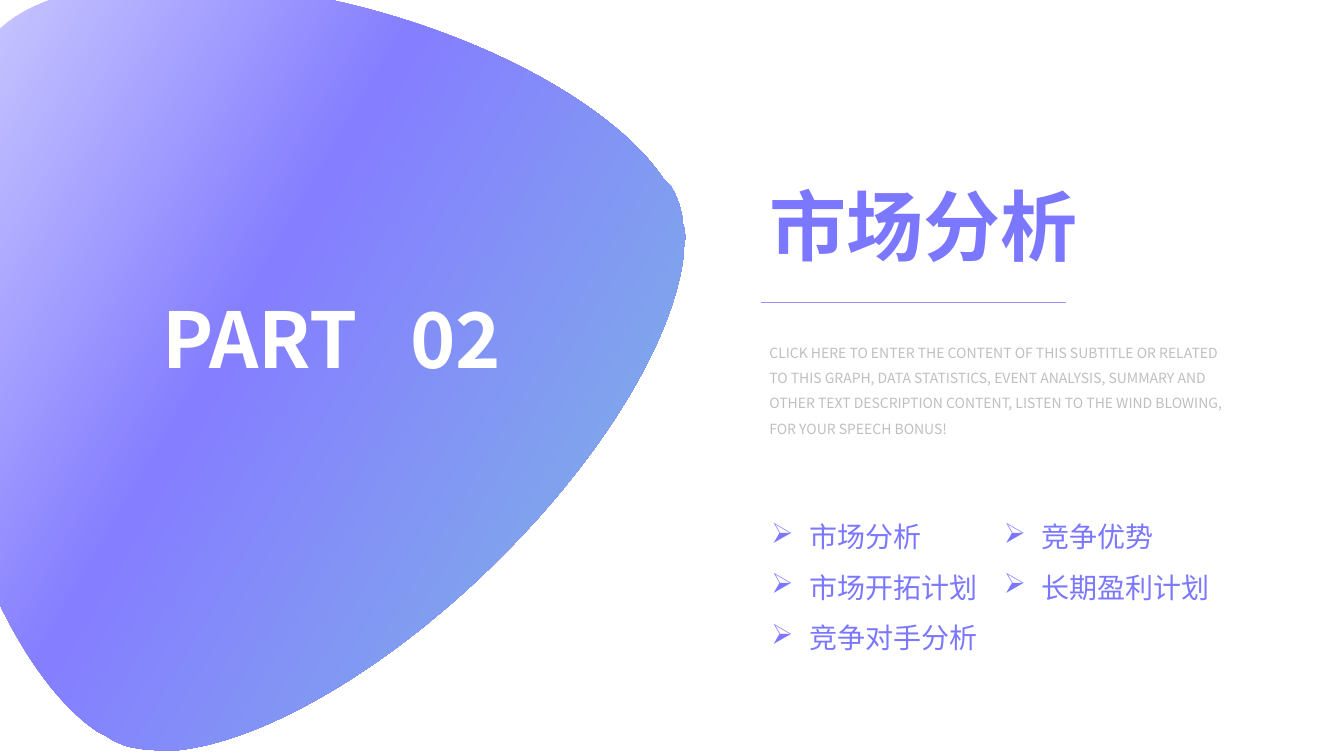
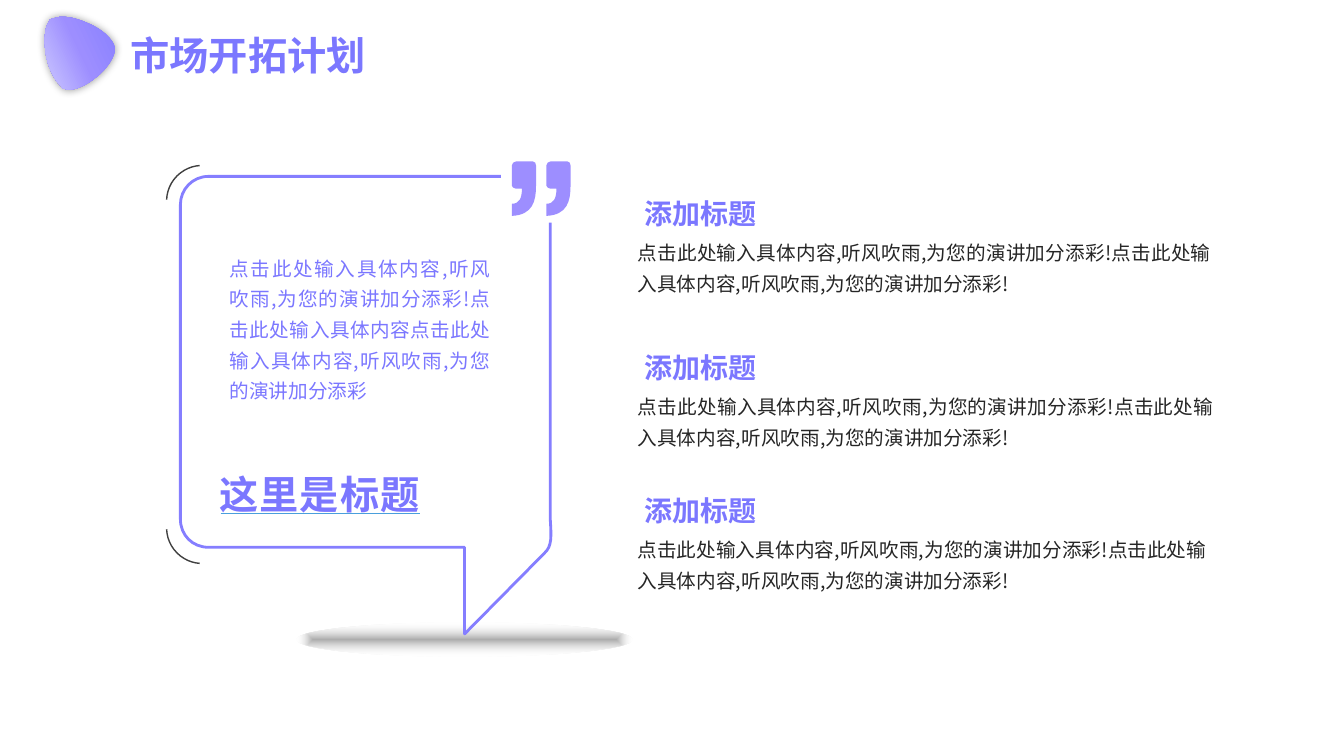
from dataclasses import dataclass
from math import cos, radians, sin

from lxml import etree
from pptx import Presentation
from pptx.dml.color import RGBColor
from pptx.enum.shapes import MSO_CONNECTOR, MSO_SHAPE
from pptx.enum.text import MSO_ANCHOR, MSO_AUTO_SIZE, PP_ALIGN
from pptx.oxml.ns import qn
from pptx.util import Cm, Pt

STRAIGHT = MSO_CONNECTOR.STRAIGHT
ARC, OVAL = MSO_SHAPE.ARC, MSO_SHAPE.OVAL
LEFT, CENTER, JUSTIFY = PP_ALIGN.LEFT, PP_ALIGN.CENTER, PP_ALIGN.JUSTIFY
TOP, GROW = MSO_ANCHOR.TOP, MSO_AUTO_SIZE.SHAPE_TO_FIT_TEXT
TITLE_ONLY = 5


@dataclass(frozen=True)
class Theme:
    font: str = "Noto Sans CJK SC"
    bullet_font: str = "Wingdings"
    accent: str = "7B77FF"
    violet: str = "857EFF"
    lilac: str = "9D8EFF"
    mist: str = "DEDEFF"
    sky: str = "7CBEE0"
    underline: str = "4A9FDC"
    ink: str = "262626"
    arc: str = "404040"
    shade: str = "595959"
    muted: str = "BFBFBF"
    white: str = "FFFFFF"
    black: str = "000000"
    hero: int = 55
    title: int = 28
    heading: int = 20
    body: int = 14
    note: int = 10


THEME = Theme()

# Content: section slide
SECTION_TITLE = "市场分析"
PART_WORD, PART_NUMBER = "PART", "02"
SECTION_NOTE = (
    "CLICK HERE TO ENTER THE CONTENT OF THIS SUBTITLE OR RELATED TO THIS GRAPH, "
    "DATA STATISTICS, EVENT ANALYSIS, SUMMARY AND OTHER TEXT DESCRIPTION CONTENT, "
    "LISTEN TO THE WIND BLOWING, FOR YOUR SPEECH BONUS!")
TOPIC_COLUMNS = [
    ["市场分析", "市场开拓计划", "竞争对手分析"],
    ["竞争优势", "长期盈利计划"],
]
TOPIC_BULLET = "Ø"  # an arrowhead in the bullet font

# Content: plan slide
PLAN_TITLE = "市场开拓计划"
QUOTE = ("点击此处输入具体内容,听风吹雨,为您的演讲加分添彩!"
         "点击此处输入具体内容点击此处输入具体内容,听风吹雨,为您的演讲加分添彩")
QUOTE_CAPTION = "这里是标题"
POINT_HEADING = "添加标题"
POINT_TEXT = "点击此处输入具体内容,听风吹雨,为您的演讲加分添彩!" * 2
POINTS = [(4.83, 14.94), (8.71, 15.01), (12.31, 14.83)]  # top, text width in cm

# Outlines: a start point, then line ends (2 numbers) or cubic curves (6 numbers)
OUTLINE_UNIT = 2.54  # cm
BIG_PEBBLE = [
    (-0.02, 0.31), (0.54, -0.26, 2.12, -0.35, 3.8, 0.13),
    (5.12, 0.51, 6.16, 1.15, 6.58, 1.77), (6.59, 1.78), (6.65, 1.84),
    (6.71, 1.93, 6.75, 2.04, 6.77, 2.16), (6.77, 2.2), (6.79, 2.27),
    (6.8, 2.33, 6.8, 2.38, 6.79, 2.43), (6.78, 2.48), (6.78, 2.55),
    (6.68, 3.35, 6.02, 4.48, 4.97, 5.53), (3.82, 6.68, 2.53, 7.4, 1.68, 7.45),
    (1.51, 7.44), (1.49, 7.44), (1.48, 7.44), (1.47, 7.44), (1.34, 7.42),
    (1.32, 7.42), (1.29, 7.41), (1.23, 7.4, 1.18, 7.37, 1.13, 7.35),
    (1.05, 7.3), (0.97, 7.26), (0.29, 6.8, -0.35, 5.56, -0.61, 4.04),
    (-0.89, 2.39, -0.64, 0.91, -0.05, 0.33), (-0.04, 0.32),
]
SMALL_PEBBLE = [
    (1.14, 0.47), (1.15, 0.54, 1.08, 0.67, 0.95, 0.77),
    (0.85, 0.85, 0.75, 0.89, 0.68, 0.89), (0.67, 0.89),
    (0.66, 0.89, 0.65, 0.89, 0.64, 0.88), (0.63, 0.88),
    (0.62, 0.88, 0.62, 0.87, 0.61, 0.87), (0.61, 0.86),
    (0.55, 0.81, 0.49, 0.7, 0.46, 0.57), (0.43, 0.42, 0.44, 0.29, 0.48, 0.22),
    (0.49, 0.21), (0.49, 0.2), (0.5, 0.19), (0.51, 0.19),
    (0.51, 0.19, 0.52, 0.18, 0.52, 0.18), (0.53, 0.18), (0.54, 0.18),
    (0.61, 0.15, 0.74, 0.17, 0.87, 0.23), (1.02, 0.29, 1.12, 0.39, 1.14, 0.47),
]
BUBBLE = [
    (5.46, 2.21), (5.46, 5.15), (5.47, 5.32, 5.48, 5.42, 5.4, 5.49),
    (4.61, 6.29), (4.61, 5.43), (2.07, 5.43),
    (1.91, 5.43, 1.79, 5.31, 1.79, 5.15), (1.79, 2.03),
    (1.79, 1.88, 1.91, 1.75, 2.07, 1.75), (4.97, 1.75),
]
QUOTE_MARK = [
    (0.24, 0.24), (0.24, 0.04), (0.24, 0.02, 0.23, 0, 0.21, 0), (0.04, 0),
    (0.02, 0, 0, 0.02, 0, 0.04), (0, 0.24), (0, 0.25, 0.02, 0.27, 0.04, 0.27),
    (0.1, 0.27), (0.1, 0.37, 0.07, 0.42, 0, 0.42), (0, 0.54),
    (0.21, 0.53, 0.24, 0.39, 0.24, 0.24),
]


def rgb(color):
    return RGBColor.from_string(color)


def add_xml(parent, tag, **attributes):
    child = etree.SubElement(parent, qn(tag))
    for key, value in attributes.items():
        child.set(key, str(value))
    return child


# Text
def add_run(paragraph, text, size, color, bold=False, spacing=None):
    run = paragraph.add_run()
    run.text = text
    font = run.font
    font.size, font.bold, font.name = Pt(size), bold, THEME.font
    font.color.rgb = rgb(color)
    properties = run._r.get_or_add_rPr()
    add_xml(properties, "a:ea", typeface=THEME.font)
    if spacing is not None:
        properties.set("spc", str(int(spacing * 100)))


def prepare_frame(shape):
    frame = shape.text_frame
    frame.word_wrap, frame.auto_size, frame.vertical_anchor = True, GROW, TOP
    return frame


def add_text(slide, box, lines, size, color, align=LEFT, line_spacing=1.0,
             bold=False, spacing=None, bullet=None):
    frame = prepare_frame(slide.shapes.add_textbox(*map(Cm, box)))
    for index, line in enumerate(lines):
        paragraph = frame.add_paragraph() if index else frame.paragraphs[0]
        paragraph.alignment, paragraph.line_spacing = align, line_spacing
        if bullet:
            properties = paragraph._p.get_or_add_pPr()
            properties.set("marL", str(Cm(0.95)))
            properties.set("indent", str(-Cm(0.95)))
            add_xml(properties, "a:buFont", typeface=THEME.bullet_font, charset=2)
            add_xml(properties, "a:buChar", char=bullet)
        add_run(paragraph, line, size, color, bold, spacing)


def add_titled_slide(deck, text, box, size):
    slide = deck.slides.add_slide(deck.slide_layouts[TITLE_ONLY])
    title = slide.shapes.title
    title.left, title.top, title.width, title.height = map(Cm, box)
    paragraph = prepare_frame(title).paragraphs[0]
    paragraph.alignment = LEFT
    add_run(paragraph, text, size, THEME.accent, bold=True)
    return slide


# Shapes
def add_outline(slide, outline, box, origin=(0, 0), rotation=0, closed=True):
    """Draw an outline, given as it looks once turned, in a box turned by rotation."""
    left, top, width, height = map(Cm, box)
    turn = radians(-rotation)

    def place(x, y):
        dx = Cm(x * OUTLINE_UNIT + origin[0]) - left - width / 2
        dy = Cm(y * OUTLINE_UNIT + origin[1]) - top - height / 2
        return (round(dx * cos(turn) - dy * sin(turn) + width / 2),
                round(dx * sin(turn) + dy * cos(turn) + height / 2))

    parts = [[place(*part[i:i + 2]) for i in range(0, len(part), 2)] for part in outline]
    builder = slide.shapes.build_freeform(*parts[0][0])
    builder.add_line_segments([part[-1] for part in parts[1:]], close=closed)
    shape = builder.convert_to_shape()
    shape.left, shape.top, shape.width, shape.height = left, top, width, height
    shape.rotation = rotation
    shape.shadow.inherit = False
    shape.line.fill.background()

    # Measure the drawing from the box and turn segments into curves
    route = next(shape._element.spPr.iter(qn("a:path")))
    for child in list(route):
        route.remove(child)
    route.set("w", str(width))
    route.set("h", str(height))
    for index, points in enumerate(parts):
        tag = "a:cubicBezTo" if len(points) == 3 else "a:lnTo" if index else "a:moveTo"
        segment = add_xml(route, tag)
        for x, y in points:
            add_xml(segment, "a:pt", x=x, y=y)
    if closed:
        add_xml(route, "a:close")
    return shape


def fill_solid(shape, color):
    shape.fill.solid()
    shape.fill.fore_color.rgb = rgb(color)


def fill_gradient(shape, stops, angle=None):
    """Fill with (position, colour, opacity) stops; no angle means from the centre."""
    shape.fill.gradient()
    gradient = shape._element.spPr.find(qn("a:gradFill"))
    for child in list(gradient):
        gradient.remove(child)
    stop_list = add_xml(gradient, "a:gsLst")
    for position, color, opacity in stops:
        stop = add_xml(stop_list, "a:gs", pos=position * 1000)
        value = add_xml(stop, "a:srgbClr", val=color)
        if opacity < 100:
            add_xml(value, "a:alpha", val=opacity * 1000)
    if angle is None:
        focus = add_xml(gradient, "a:path", path="shape")
        add_xml(focus, "a:fillToRect", l=50000, t=50000, r=50000, b=50000)
    else:
        add_xml(gradient, "a:lin", ang=angle * 60000, scaled=0)


def add_pebble(slide, outline, box, rotation, colors):
    pebble = add_outline(slide, outline, box, rotation=rotation)
    fill_gradient(pebble, [(at, color, 100) for at, color in zip((2, 44, 97), colors)], 40)
    return pebble


def add_glow(shape, blur, opacity):
    effects = shape._element.spPr.find(qn("a:effectLst"))
    shadow = add_xml(effects, "a:outerShdw", blurRad=Pt(blur), dist=0, dir=0,
                     algn="ctr", rotWithShape=0)
    color = add_xml(shadow, "a:srgbClr", val=THEME.black)
    add_xml(color, "a:alpha", val=opacity * 1000)


def set_line(shape, color, width):
    shape.line.color.rgb = rgb(color)
    shape.line.width = Pt(width)


def add_rule(slide, left, right, y, color):
    rule = slide.shapes.add_connector(STRAIGHT, Cm(left), Cm(y), Cm(right), Cm(y))
    set_line(rule, color, 0.5)
    add_xml(rule._element.spPr, "a:effectLst")


def add_preset(slide, kind, box):
    shape = slide.shapes.add_shape(kind, *map(Cm, box))
    shape.shadow.inherit = False
    shape.line.fill.background()
    shape.fill.background()
    return shape


# Slides
def build_section(deck):
    slide = add_titled_slide(deck, SECTION_TITLE, (19.14, 4.37, 8.36, 2.62), THEME.hero)
    add_pebble(slide, BIG_PEBBLE, (-1.7, -1.09, 19.28, 19.28), 350.3,
               (THEME.mist, THEME.violet, THEME.sky))

    part = prepare_frame(slide.shapes.add_textbox(Cm(3.43), Cm(7.23), Cm(9.86), Cm(2.62)))
    paragraph = part.paragraphs[0]
    paragraph.alignment = CENTER
    for text, spacing in ((PART_WORD, None), (" ", 25), (PART_NUMBER, None)):
        add_run(paragraph, text, THEME.hero, THEME.white, True, spacing)

    add_text(slide, (19.19, 12.55, 5.72, 3.96), TOPIC_COLUMNS[0], THEME.heading,
             THEME.accent, line_spacing=1.5, bullet=TOPIC_BULLET)
    add_text(slide, (19.14, 8.34, 12.27, 2.74), [SECTION_NOTE], THEME.note, THEME.muted,
             line_spacing=1.5)
    add_rule(slide, 19.18, 26.87, 7.62, THEME.lilac)
    add_text(slide, (25.05, 12.55, 5.72, 2.67), TOPIC_COLUMNS[1], THEME.heading,
             THEME.accent, line_spacing=1.5, bullet=TOPIC_BULLET)


def build_plan(deck):
    slide = add_titled_slide(deck, PLAN_TITLE, (3.04, 0.66, 6.52, 1.45), THEME.title)

    # Speech bubble with floor shadow, corner arcs and quote marks
    floor = add_preset(slide, OVAL, (7.47, 15.7, 8.48, 0.84))
    fill_gradient(floor, [(0, THEME.shade, 50), (100, THEME.white, 0)])
    bubble = add_outline(slide, BUBBLE, (4.55, 4.45, 9.35, 11.51), closed=False)
    bubble.fill.background()
    set_line(bubble, THEME.violet, 2)
    for top, start, end in ((4.17, 109.46, 159.47), (12.4, 56.53, 106.54)):
        corner = add_preset(slide, ARC, (4.2, top, 1.8, 1.8))
        corner.adjustments[0], corner.adjustments[1] = start, end
        set_line(corner, THEME.arc, 1)
    for left in (13.77, 12.9):
        mark = add_outline(slide, QUOTE_MARK, (left, 4.07, 0.61, 1.37), (left, 4.07))
        fill_solid(mark, THEME.lilac)

    add_text(slide, (5.28, 11.48, 6.3, 1.57), [QUOTE_CAPTION], THEME.title, THEME.accent,
             line_spacing=1.2, bold=True, spacing=0.8)
    add_rule(slide, 5.56, 10.59, 12.93, THEME.underline)
    add_text(slide, (5.54, 6.17, 7.06, 4.14), [QUOTE], THEME.body, THEME.accent,
             JUSTIFY, 1.3)

    # Points on the right
    for top, width in POINTS:
        add_text(slide, (15.82, top + 0.95, width, 1.73), [POINT_TEXT], THEME.body,
                 THEME.ink, JUSTIFY, 1.3)
        add_text(slide, (15.99, top, 3.81, 1.12), [POINT_HEADING], THEME.heading,
                 THEME.accent, bold=True)

    pebble = add_pebble(slide, SMALL_PEBBLE, (0.97, 0.46, 1.78, 1.83), 114.6,
                        (THEME.violet, THEME.lilac, THEME.mist))
    add_glow(pebble, blur=6, opacity=40)


def main():
    deck = Presentation()
    deck.slide_width, deck.slide_height = Cm(33.87), Cm(19.05)
    build_section(deck)
    build_plan(deck)
    deck.save("out.pptx")


if __name__ == "__main__":
    main()
